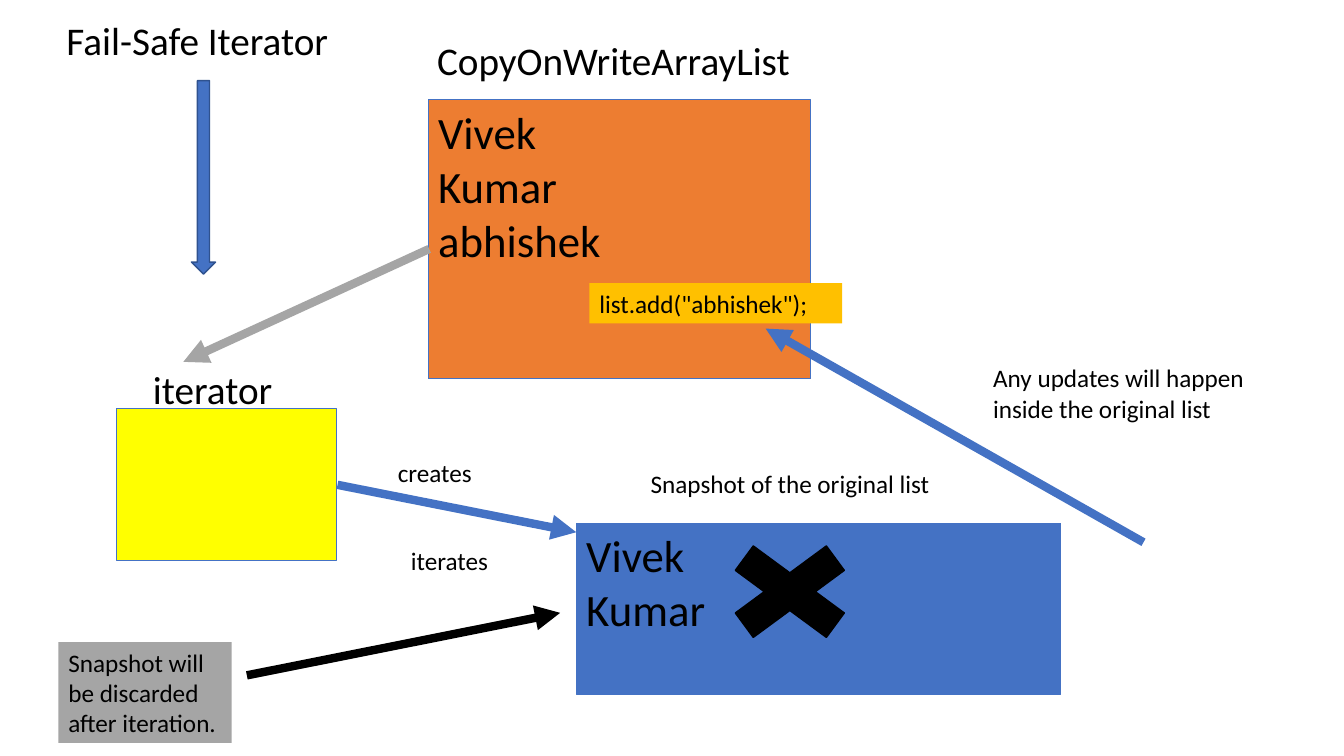
import pptx
import pptx.util
import pptx.dml.color
import pptx.enum.shapes
import pptx.enum.text
import pptx.oxml.ns
import lxml.etree

Inches = pptx.util.Inches
Pt = pptx.util.Pt
RGBColor = pptx.dml.color.RGBColor
SHAPE = pptx.enum.shapes.MSO_SHAPE
qn = pptx.oxml.ns.qn

BLACK = RGBColor(0x00, 0x00, 0x00)
BLUE = RGBColor(0x44, 0x72, 0xC4)
DARK_BLUE = RGBColor(0x2F, 0x52, 0x8F)
ORANGE = RGBColor(0xED, 0x7D, 0x31)
YELLOW = RGBColor(0xFF, 0xFF, 0x00)
GOLD = RGBColor(0xFF, 0xC0, 0x00)
GRAY = RGBColor(0xA5, 0xA5, 0xA5)


def write(shape, lines, size):
    tf = shape.text_frame
    frame_format = {
        "word_wrap": True,
        "auto_size": pptx.enum.text.MSO_AUTO_SIZE.NONE,
        "vertical_anchor": pptx.enum.text.MSO_ANCHOR.TOP,
        "margin_left": Inches(0.1),
        "margin_right": Inches(0.1),
        "margin_top": Inches(0.05),
        "margin_bottom": Inches(0.05),
    }
    for name, value in frame_format.items():
        setattr(tf, name, value)
    for i, line in enumerate(lines):
        p = tf.paragraphs[0] if i == 0 else tf.add_paragraph()
        p.alignment = pptx.enum.text.PP_ALIGN.LEFT
        r = p.add_run()
        r.text = line
        for name, value in {"name": "Calibri", "size": Pt(size)}.items():
            setattr(r.font, name, value)
        r.font.color.rgb = BLACK


prs = pptx.Presentation()
prs.slide_width = Inches(13.34)
prs.slide_height = Inches(7.5)
s = prs.slides.add_slide(prs.slide_layouts[5])

title = s.shapes.title
box = {"left": 0.56, "top": 0.11, "width": 3.06, "height": 0.57}
for name, value in box.items():
    setattr(title, name, Inches(value))
write(title, ["Fail-Safe Iterator"], 28)

shapes = [
    (SHAPE.RECTANGLE, (4.25, 0.99, 3.8, 2.77), ORANGE, BLUE, 0.75, ["Vivek", "Kumar", "abhishek"], 32),
    (SHAPE.RECTANGLE, (1.16, 4.05, 2.18, 1.51), YELLOW, BLUE, 0.75, [], 18),
    (SHAPE.RECTANGLE, (5.85, 2.81, 2.51, 0.4), GOLD, None, 0, ['list.add("abhishek");'], 18),
    (SHAPE.DOWN_ARROW, (1.9, 0.8, 0.24, 1.92), BLUE, DARK_BLUE, 1, [], 18),
    (SHAPE.RECTANGLE, (5.72, 5.19, 4.81, 1.7), BLUE, BLUE, 0.75, ["Vivek", "Kumar"], 32),
    (SHAPE.MATH_MULTIPLY, (6.97, 5.23, 1.74, 1.28), BLACK, BLACK, 1, [], 18),
    (SHAPE.RECTANGLE, (0.58, 6.37, 1.72, 1), GRAY, None, 0,
     ["Snapshot will be discarded after iteration."], 18),
]
for kind, at, fill, outline, weight, lines, size in shapes:
    sp = s.shapes.add_shape(kind, *map(Inches, at))
    sp.shadow.inherit = False
    sp.fill.solid()
    sp.fill.fore_color.rgb = fill
    if outline is None:
        sp.line.fill.background()
    else:
        sp.line.color.rgb = outline
        sp.line.width = Pt(weight)
    write(sp, lines, size)

labels = [
    ("CopyOnWriteArrayList", (4.24, 0.31, 4.16, 0.57), 28),
    ("iterator", (1.42, 3.58, 1.76, 0.57), 28),
    ("creates", (3.85, 4.49, 1.22, 0.4), 18),
    ("iterates", (3.98, 5.36, 1.4, 0.4), 18),
    ("Snapshot of the original list", (6.36, 4.6, 3.01, 0.4), 18),
    ("Any updates will happen inside the original list", (9.76, 3.55, 2.94, 0.7), 18),
]
for text, at, size in labels:
    write(s.shapes.add_textbox(*map(Inches, at)), [text], size)

arrows = [
    ((4.26, 2.47, 1.82, 3.59), GRAY),
    ((11.35, 5.38, 7.6, 3.26), BLUE),
    ((3.35, 4.81, 5.72, 5.28), BLUE),
    ((2.45, 6.7, 5.56, 6.08), BLACK),
]
for ends, color in arrows:
    arrow = s.shapes.add_connector(pptx.enum.shapes.MSO_CONNECTOR.STRAIGHT, *map(Inches, ends))
    arrow.line.color.rgb = color
    arrow.line.width = Pt(6)
    spPr = arrow._element.spPr
    lxml.etree.SubElement(spPr.find(qn("a:ln")), qn("a:tailEnd"), type="triangle")
    lxml.etree.SubElement(spPr, qn("a:effectLst"))

prs.save("out.pptx")
